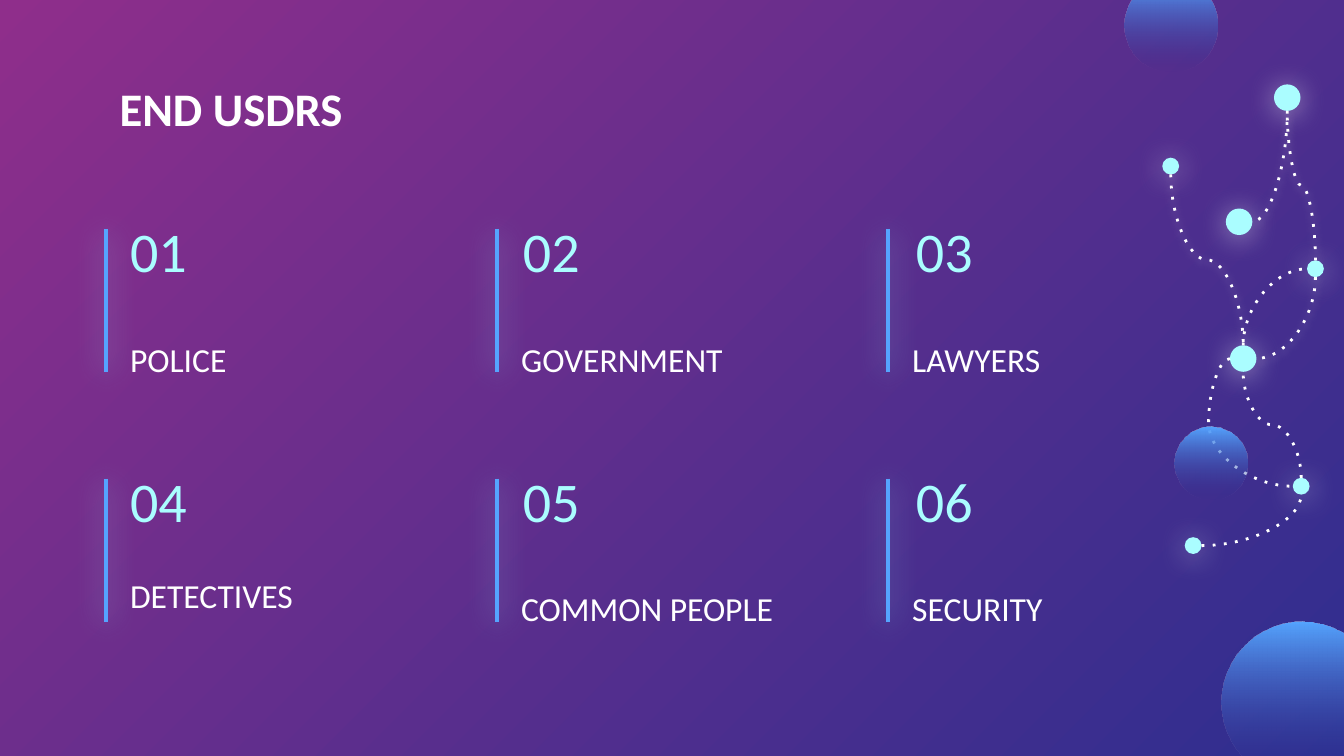
from dataclasses import dataclass

from lxml.etree import SubElement
from pptx import Presentation
from pptx.dml.color import RGBColor
from pptx.enum.shapes import MSO_CONNECTOR as Connector, MSO_SHAPE as Shape
from pptx.enum.text import MSO_ANCHOR as Anchor
from pptx.oxml.ns import qn
from pptx.util import Pt


@dataclass(frozen=True)
class Theme:
    font: str = "Calibri"
    white: str = "FFFFFF"
    aqua: str = "AAFDFF"
    blue: str = "55A4FF"
    navy: str = "2E2E8F"
    magenta: str = "8F2E8B"
    title_size: float = 25
    number_size: float = 30
    label_size: float = 18
    inset: float = 7.2
    bar_width: float = 2.25
    curve_width: float = 1.5
    glow: float = 15.8
    faint_glow: float = 4.5


class SlideBuilder:
    """Draws themed elements on one slide, with lengths in points."""

    def __init__(self, slide, theme):
        self.slide = slide
        self.theme = theme

    def gradient(self, fill, start, end, angle):
        fill.gradient()
        fill.gradient_angle = 360 - angle
        for stop, color, position in zip(fill.gradient_stops, (start, end), (0, 1)):
            stop.color.rgb = RGBColor.from_string(color)
            stop.position = position

    def effect(self, shape, color=None, blur=0):
        effects = SubElement(shape.element.spPr, qn("a:effectLst"))
        if color:
            shadow = SubElement(effects, qn("a:outerShdw"), blurRad=str(Pt(blur)),
                                dist=str(Pt(1.5)), dir="5400000", algn="bl", rotWithShape="0")
            tint = SubElement(shadow, qn("a:srgbClr"), val=color)
            SubElement(tint, qn("a:alpha"), val="50000")

    def text(self, words, left, top, width, height, size, color, anchor, bold=False):
        box = self.slide.shapes.add_textbox(Pt(left), Pt(top), Pt(width), Pt(height))
        frame = box.text_frame
        frame.word_wrap = True
        frame.vertical_anchor = anchor
        frame.margin_left = frame.margin_right = Pt(self.theme.inset)
        frame.margin_top = frame.margin_bottom = Pt(self.theme.inset)
        run = frame.paragraphs[0].add_run()
        run.text = words
        run.font.name = self.theme.font
        run.font.size = Pt(size)
        run.font.bold = bold
        run.font.color.rgb = RGBColor.from_string(color)

    def connector(self, kind, left, top, right, bottom, color, width):
        connector = self.slide.shapes.add_connector(kind, Pt(left), Pt(top), Pt(right), Pt(bottom))
        connector.line.color.rgb = RGBColor.from_string(color)
        connector.line.width = Pt(width)
        return connector

    def bar(self, x, top, height):
        theme = self.theme
        bar = self.connector(Connector.STRAIGHT, x, top, x, top + height, theme.blue, theme.bar_width)
        self.effect(bar, theme.aqua, theme.glow)

    def circle(self, x, y, diameter):
        radius = diameter / 2
        circle = self.slide.shapes.add_shape(
            Shape.OVAL, Pt(x - radius), Pt(y - radius), Pt(diameter), Pt(diameter))
        circle.line.fill.background()
        return circle

    def node(self, x, y, diameter):
        node = self.circle(x, y, diameter)
        node.fill.solid()
        node.fill.fore_color.rgb = RGBColor.from_string(self.theme.aqua)
        self.effect(node, self.theme.white, self.theme.glow)

    def ball(self, x, y, diameter):
        ball = self.circle(x, y, diameter)
        ball.shadow.inherit = False
        self.gradient(ball.fill, self.theme.blue, self.theme.navy, 90)
        end_color = list(ball.element.spPr.iter(qn("a:srgbClr")))[-1]
        SubElement(end_color, qn("a:alpha"), val="0")

    def curve(self, start, end, upright, bends, adjust=None, glow=False):
        (x1, y1), (x2, y2) = start, end
        across, down = x2 - x1, y2 - y1
        if upright:
            width, height = abs(down), abs(across)
            turn = 270 if across > 0 else 90
            flip = (across > 0) == (down > 0)
        else:
            width, height = abs(across), abs(down)
            turn = 0 if down > 0 else 180
            flip = (across > 0) != (down > 0)
        left, top = (x1 + x2 - width) / 2, (y1 + y2 - height) / 2
        theme = self.theme
        curve = self.connector(Connector.CURVE, left, top, left + width, top + height,
                               theme.white, theme.curve_width)
        properties = curve.element.spPr
        frame = properties.find(qn("a:xfrm"))
        frame.set("rot", str(turn * 60000))
        frame.set("flipH", str(int(flip)))
        geometry = properties.find(qn("a:prstGeom"))
        geometry.set("prst", f"curvedConnector{bends}")
        if adjust is not None:
            guides = geometry.find(qn("a:avLst"))
            SubElement(guides, qn("a:gd"), name="adj1", fmla=f"val {round(adjust * 100000)}")
        SubElement(properties.find(qn("a:ln")), qn("a:prstDash"), val="dot")
        self.effect(curve, theme.white if glow else None, theme.faint_glow)


USERS = [
    ("POLICE", 169.2, 206.6), ("GOVERNMENT", 169.2, 185.8), ("LAWYERS", 169.2, 181.4),
    ("DETECTIVES", 295.9, 181.4), ("COMMON PEOPLE", 302.6, 181.4), ("SECURITY", 302.6, 181.4),
]
NODES = {
    "pearl": (663.8, 118.8, 14.2), "hub": (666, 192.1, 14.2), "crown": (689.6, 52.3, 14.2),
    "west": (627.2, 89, 9), "east": (704.7, 144, 9),
    "low": (697.1, 260.5, 9), "tail": (639.2, 292.3, 9),
}
CURVES = [
    ("hub", "top", "east", "left", 2, None, False),
    ("west", "bottom", "hub", "top", 3, 0.5, True),
    ("east", "top", "crown", "bottom", 3, 0.5, True),
    ("east", "bottom", "hub", "right", 2, None, True),
    ("crown", "bottom", "pearl", "right", 2, None, True),
    ("hub", "left", "low", "left", 3, -0.34, False),
    ("tail", "right", "low", "bottom", 2, None, False),
    ("low", "top", "hub", "bottom", 3, 0.5, False),
]
BALLS = [(627.4, 13.5, 50), (697.5, 376, 86), (649, 248, 39)]
SIDES = {"top": (0, -1), "left": (-1, 0), "bottom": (0, 1), "right": (1, 0)}


def port(name, side):
    x, y, diameter = NODES[name]
    across, down = SIDES[side]
    return x + across * diameter / 2, y + down * diameter / 2


def main():
    presentation = Presentation()
    presentation.slide_width, presentation.slide_height = Pt(720), Pt(405)
    theme = Theme()
    slide = presentation.slides.add_slide(presentation.slide_layouts[6])
    builder = SlideBuilder(slide, theme)
    builder.gradient(slide.background.fill, theme.magenta, theme.navy, 45)
    builder.text("END USDRS", 57, 35.4, 607, 45.2, theme.title_size, theme.white, Anchor.TOP, True)

    for index, (label, label_top, label_width) in enumerate(USERS):
        row, column = divmod(index, 3)
        builder.text(f"{index + 1:02}", 62.6 + 210.5 * column, 116.6 + 133.9 * row, 80.6, 35.3,
                     theme.number_size, theme.aqua, Anchor.MIDDLE)
        builder.text(label, 62.6 + 209.5 * column, label_top, label_width, 41,
                     theme.label_size, theme.white, Anchor.BOTTOM)
        builder.bar(56.9 + 209.5 * column, 122.6 + 133.9 * row, 76.5)

    for node in NODES.values():
        builder.node(*node)
    for start, start_side, end, end_side, bends, adjust, glow in CURVES:
        upright = start_side in ("top", "bottom")
        builder.curve(port(start, start_side), port(end, end_side), upright, bends, adjust, glow)
    for ball in BALLS:
        builder.ball(*ball)
    presentation.save("out.pptx")


if __name__ == "__main__":
    main()
